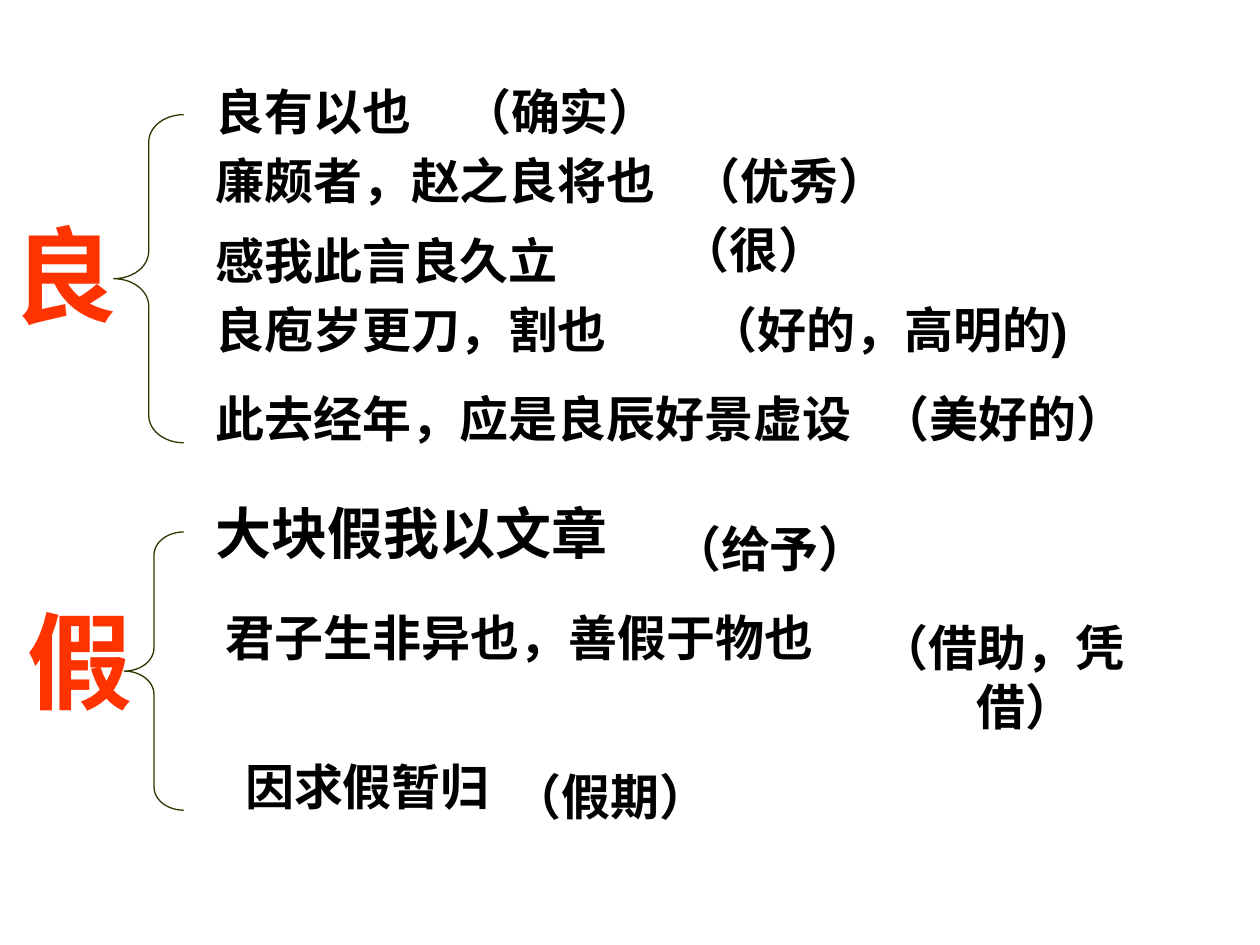
from dataclasses import dataclass

from pptx import Presentation
from pptx.dml.color import RGBColor
from pptx.enum.shapes import MSO_SHAPE as Preset
from pptx.enum.text import MSO_ANCHOR as Anchor, MSO_AUTO_SIZE as AutoSize, PP_ALIGN as Align
from pptx.util import Pt


@dataclass(frozen=True)
class Theme:
    font: str = "Arial"
    ink: RGBColor = RGBColor(0x00, 0x00, 0x00)
    accent: RGBColor = RGBColor(0xFF, 0x33, 0x00)
    brace: RGBColor = RGBColor(0x33, 0x33, 0x00)
    head: int = 60
    large: int = 32
    body: int = 28
    hanging: int = 27
    brace_curve: float = 0.39


THEME = Theme()
LINE_HEIGHT = 41
HEAD_HEIGHT = 79


def set_all(target, values):
    for name, value in values.items():
        setattr(target, name, value)


def add_text(page, text, left, top, width, height=LINE_HEIGHT,
             size=THEME.body, color=THEME.ink, align=Align.LEFT):
    box = page.shapes.add_textbox(Pt(left), Pt(top), Pt(width), Pt(height))
    set_all(box.text_frame, {
        "word_wrap": True, "auto_size": AutoSize.SHAPE_TO_FIT_TEXT,
        "vertical_anchor": Anchor.TOP,
    })
    para = box.text_frame.paragraphs[0]
    para.alignment = align
    # Hanging indent, which also places wrapped lines
    props = para._p.get_or_add_pPr()
    props.set("marL", str(Pt(THEME.hanging)))
    props.set("indent", str(Pt(-THEME.hanging)))
    span = para.add_run()
    span.text = text
    set_all(span.font, {"name": THEME.font, "size": Pt(size), "bold": True})
    span.font.color.rgb = color


def add_brace(page, left, top, width, height):
    brace = page.shapes.add_shape(Preset.LEFT_BRACE, Pt(left), Pt(top), Pt(width), Pt(height))
    brace.adjustments[0] = THEME.brace_curve
    brace.shadow.inherit = False
    brace.fill.background()
    brace.line.color.rgb = THEME.brace
    brace.line.width = Pt(0.75)


def add_word_group(page, box, group):
    """Place a headword, its brace, example sentences and glosses inside box."""
    left, top, width, height = box

    # Headword and brace
    x, y, head_width, align = group["head_at"]
    add_text(page, group["head"], left + x, top + y, head_width, HEAD_HEIGHT,
             THEME.head, THEME.accent, align)
    x, y, brace_width, brace_height = group["brace_at"]
    add_brace(page, left + x, top + y, brace_width, brace_height)

    # Example sentences, up to the right edge of the box
    for text, x, y, size in group["examples"]:
        add_text(page, text, left + x, top + y, width - x, size=size)

    # Glosses
    for text, x, y, gloss_width, align in group["glosses"]:
        add_text(page, text, left + x, top + y, gloss_width, align=align)


LIANG = {
    "head": "良",
    "head_at": (0, 73.5, 107, Align.LEFT),
    "brace_at": (65, 22.5, 40, 187.5),
    "examples": [
        ("良有以也", 116, 0, THEME.body),
        ("廉颇者，赵之良将也", 116, 39.5, THEME.body),
        ("感我此言良久立", 116, 85, THEME.body),
        ("良庖岁更刀，割也", 116, 124.5, THEME.body),
        ("此去经年，应是良辰好景虚设", 116, 175.5, THEME.body),
    ],
    "glosses": [
        ("（确实）", 252, 0, 136, Align.CENTER),
        ("（优秀）", 388, 39.5, 130, Align.LEFT),
        ("（很）", 377, 79, 108, Align.CENTER),
        ("（好的，高明的)", 377, 124.5, 261, Align.CENTER),
        ("（美好的）", 469, 175.5, 208, Align.CENTER),
    ],
}

JIA = {
    "head": "假",
    "head_at": (0, 56, 91, Align.CENTER),
    "brace_at": (71, 22.5, 34, 159),
    "examples": [
        ("大块假我以文章", 116, 0, THEME.large),
        ("君子生非异也，善假于物也", 122, 62, THEME.body),
        ("因求假暂归", 133, 147, THEME.body),
    ],
    "glosses": [
        ("（给予）", 377, 11, 199, Align.LEFT),
        ("（借助，凭借）", 473, 68, 199, Align.CENTER),
        ("（假期）", 259, 153, 180, Align.CENTER),
    ],
}


def main():
    deck = Presentation()
    set_all(deck, {"slide_width": Pt(720), "slide_height": Pt(540)})
    page = deck.slides.add_slide(deck.slide_layouts[6])
    add_word_group(page, (0, 43, 640, 217), LIANG)
    add_word_group(page, (0, 281.5, 640, 194), JIA)
    deck.save("out.pptx")


if __name__ == "__main__":
    main()
